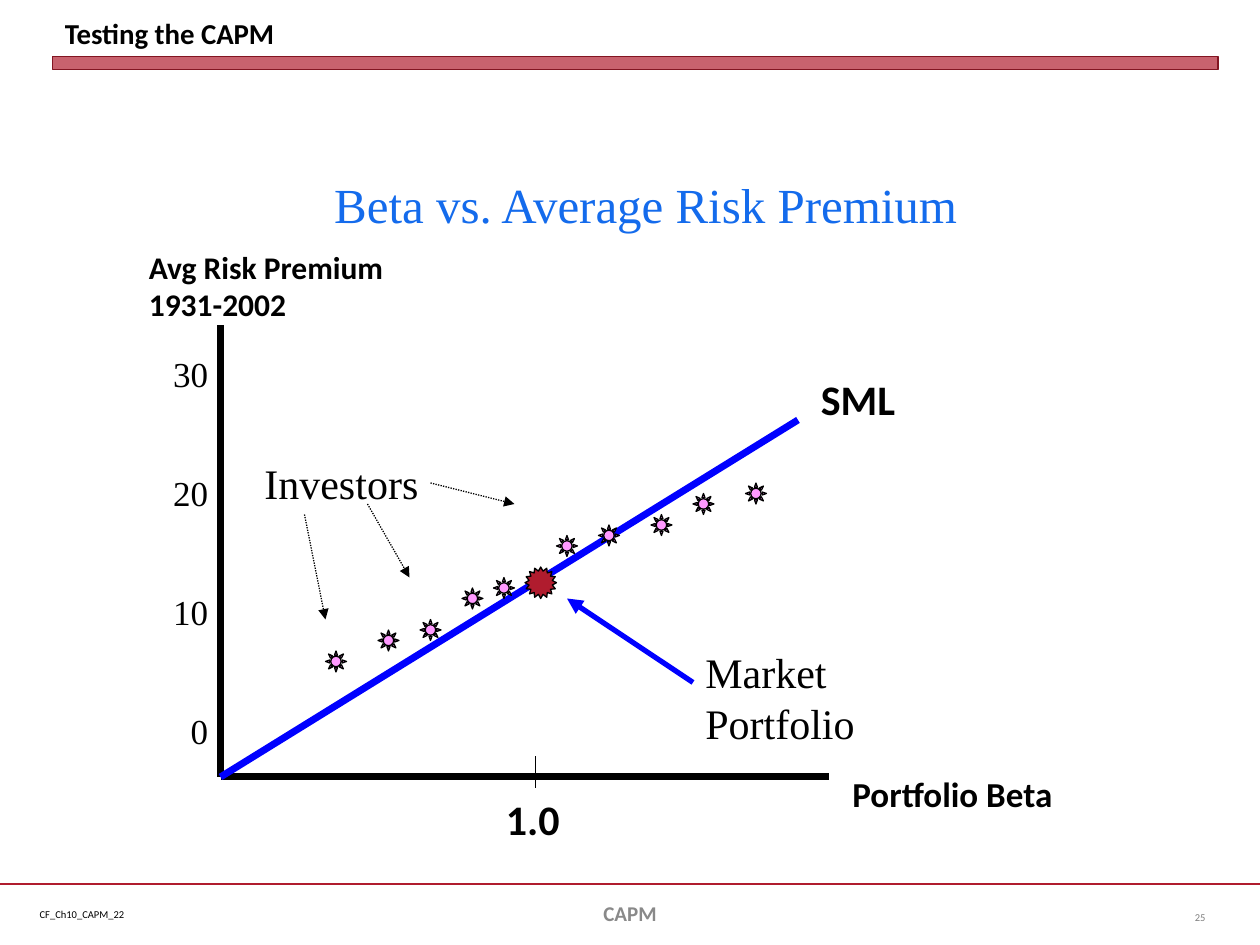
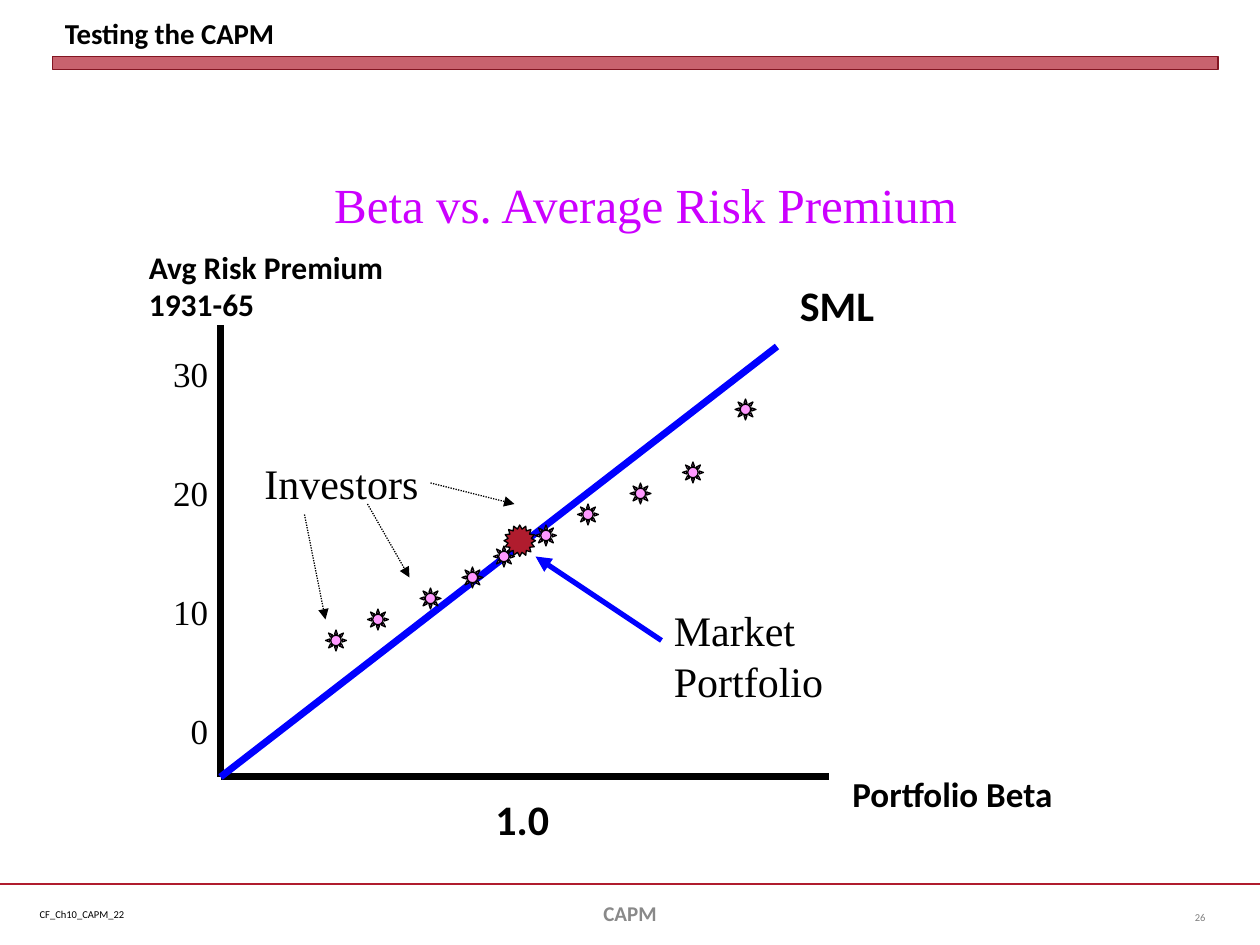
from dataclasses import dataclass

from lxml import etree
from pptx import Presentation
from pptx import util as u
from pptx.dml.color import RGBColor
from pptx.enum import dml, shapes, text
from pptx.oxml.ns import qn

PX = 7620  # EMU per px: 120 px to the inch


@dataclass(frozen=True)
class Theme:
    sans: str = "Calibri"
    serif: str = "Times New Roman"
    ink: str = "000000"
    red: str = "B01C2E"
    dark_red: str = "821522"
    blue: str = "0000FF"
    pink: str = "FF99FF"
    heading_blue: str = "146BEC"
    heading_violet: str = "CC00FF"
    footer_gray: str = "898989"
    number_gray: str = "808080"
    tiny: float = 6
    footer: float = 12
    title: float = 16.5
    axis_title: float = 18
    axis: float = 20
    label: float = 24
    heading: float = 28
    hairline: float = 0.75
    thick: float = 4


@dataclass(frozen=True)
class RiskPlot:
    """What differs between the two plots."""
    number: int
    period: str
    heading_color: str
    sml_end: tuple
    sml_label: tuple
    beta_label: tuple
    market: tuple
    market_label: tuple
    investors: tuple
    beta_tick: bool = False


class Deck:
    def __init__(self, theme):
        self.theme = theme
        self.presentation = Presentation()
        self.presentation.slide_width = 1200 * PX
        self.presentation.slide_height = 900 * PX
        self.slide = None

    def new_slide(self):
        self.slide = self.presentation.slides.add_slide(self.presentation.slide_layouts[6])

    def text_box(self, lines, left, top, width, height, size, font=None, color=None, bold=False,
                 align=text.PP_ALIGN.LEFT, anchor=text.MSO_ANCHOR.TOP, gap=0, wrap=True):
        """Add a text box; gap is the space in points between its paragraphs."""
        box = self.slide.shapes.add_textbox(left * PX, top * PX, width * PX, height * PX)
        frame = box.text_frame
        frame.word_wrap = wrap
        frame.vertical_anchor = anchor
        frame.text = "\n".join(lines)
        for index, paragraph in enumerate(frame.paragraphs):
            paragraph.alignment = align
            paragraph.space_before = u.Pt(gap if index else 0)
            paragraph.font.size = u.Pt(size)
            paragraph.font.name = font or self.theme.sans
            paragraph.font.bold = bold
            paragraph.font.color.rgb = RGBColor.from_string(color or self.theme.ink)

    def shape(self, kind, left, top, width, height, fill, line, weight, opacity=100):
        shape = self.slide.shapes.add_shape(kind, left * PX, top * PX, width * PX, height * PX)
        shape.shadow.inherit = False
        shape.fill.solid()
        shape.fill.fore_color.rgb = RGBColor.from_string(fill)
        shape.line.color.rgb = RGBColor.from_string(line)
        shape.line.width = u.Pt(weight)
        if opacity < 100:
            color = shape.element.spPr.find(qn("a:solidFill"))[0]
            etree.SubElement(color, qn("a:alpha"), val=str(opacity * 1000))

    def line(self, start, end, color, weight, dotted=False, arrow=False):
        connector = self.slide.shapes.add_connector(
            shapes.MSO_CONNECTOR.STRAIGHT, *(value * PX for value in (*start, *end)))
        connector.line.color.rgb = RGBColor.from_string(color)
        connector.line.width = u.Pt(weight)
        if dotted:
            connector.line.dash_style = dml.MSO_LINE.ROUND_DOT
        properties = connector.element.spPr
        if arrow:
            etree.SubElement(properties.find(qn("a:ln")), qn("a:tailEnd"), type="triangle")
        etree.SubElement(properties, qn("a:effectLst"))

    def page_frame(self, title, number):
        theme = self.theme
        middle, bottom = text.MSO_ANCHOR.MIDDLE, text.MSO_ANCHOR.BOTTOM
        self.line((0, 842), (1200, 842), theme.red, 1.25)
        self.text_box(["CF_Ch10_CAPM_22"], 26, 859, 106, 24, theme.tiny, wrap=False)
        self.shape(shapes.MSO_SHAPE.RECTANGLE, 50, 54, 1110, 12,
                   theme.red, theme.dark_red, 0, opacity=69)
        self.text_box([title], 50, 6, 1110, 48, theme.title, bold=True, anchor=bottom)
        self.text_box(["CAPM"], 410, 846, 380, 48, theme.footer, color=theme.footer_gray,
                      bold=True, align=text.PP_ALIGN.CENTER, anchor=middle)
        self.text_box([str(number)], 1100, 850, 60, 48, theme.tiny, color=theme.number_gray,
                      align=text.PP_ALIGN.RIGHT, anchor=middle)

    def axes(self, plot, origin):
        theme = self.theme
        self.line((origin[0], 310), origin, theme.ink, theme.thick)
        self.line(origin, (790, origin[1]), theme.ink, theme.thick)
        self.text_box([f"Avg Risk Premium {plot.period}"], 130, 230, 290, 84,
                      theme.axis_title, bold=True)
        self.text_box(["Portfolio Beta"], 800, 730, 260, 53, theme.axis, bold=True)
        self.text_box(["30", "20", "10", "0"], 100, 330, 110, 412, theme.axis, theme.serif,
                      align=text.PP_ALIGN.RIGHT, gap=44)
        self.text_box(["1.0"], *plot.beta_label, 61, theme.label, bold=True)
        if plot.beta_tick:
            self.line((510, 720), (510, 750), theme.ink, theme.hairline)

    def investors(self, positions):
        theme = self.theme
        for left, top in positions:
            self.shape(shapes.MSO_SHAPE.SUN, left, top, 20, 20,
                       theme.pink, theme.ink, theme.hairline)
        self.text_box(["Investors"], 240, 430, 210, 60, theme.label, theme.serif)
        for start, end in (((290, 490), (310, 590)), ((350, 480), (390, 550)),
                           ((410, 460), (490, 480))):
            self.line(start, end, theme.ink, theme.hairline, dotted=True, arrow=True)

    def market(self, star, label):
        theme = self.theme
        left, top = label
        self.text_box(["Market Portfolio"], left, top, 210, 108, theme.label, theme.serif)
        self.shape(shapes.MSO_SHAPE.STAR_16_POINT, *star, 30, 30,
                   theme.red, theme.ink, theme.hairline)
        self.line((left, top + 40), (left - 120, top - 40), theme.blue, 3, arrow=True)

    def risk_slide(self, plot):
        theme = self.theme
        origin = (210, 740)
        self.new_slide()
        self.page_frame("Testing the CAPM", plot.number)
        self.axes(plot, origin)
        self.line(origin, plot.sml_end, theme.blue, theme.thick)
        self.text_box(["SML"], *plot.sml_label, 260, 61, theme.label, bold=True)
        self.investors(plot.investors)
        self.market(plot.market, plot.market_label)
        self.text_box(["Beta vs. Average Risk Premium"], 260, 160, 710, 68, theme.heading,
                      theme.serif, plot.heading_color, align=text.PP_ALIGN.CENTER)


def main():
    theme = Theme()
    deck = Deck(theme)
    plots = (
        RiskPlot(
            number=25, period="1931-2002", heading_color=theme.heading_blue,
            sml_end=(760, 400), sml_label=(770, 350), beta_label=(470, 750, 90),
            market=(500, 540), market_label=(660, 610), beta_tick=True,
            investors=((310, 620), (360, 600), (400, 590), (440, 560), (470, 550),
                       (530, 510), (570, 500), (620, 490), (660, 470), (710, 460))),
        RiskPlot(
            number=26, period="1931-65", heading_color=theme.heading_violet,
            sml_end=(740, 330), sml_label=(750, 260), beta_label=(460, 750, 150),
            market=(480, 500), market_label=(630, 570),
            investors=((310, 600), (350, 580), (400, 560), (440, 540), (470, 520),
                       (510, 500), (550, 480), (600, 460), (650, 440), (700, 380))),
    )
    for plot in plots:
        deck.risk_slide(plot)
    deck.presentation.save("out.pptx")


if __name__ == "__main__":
    main()
